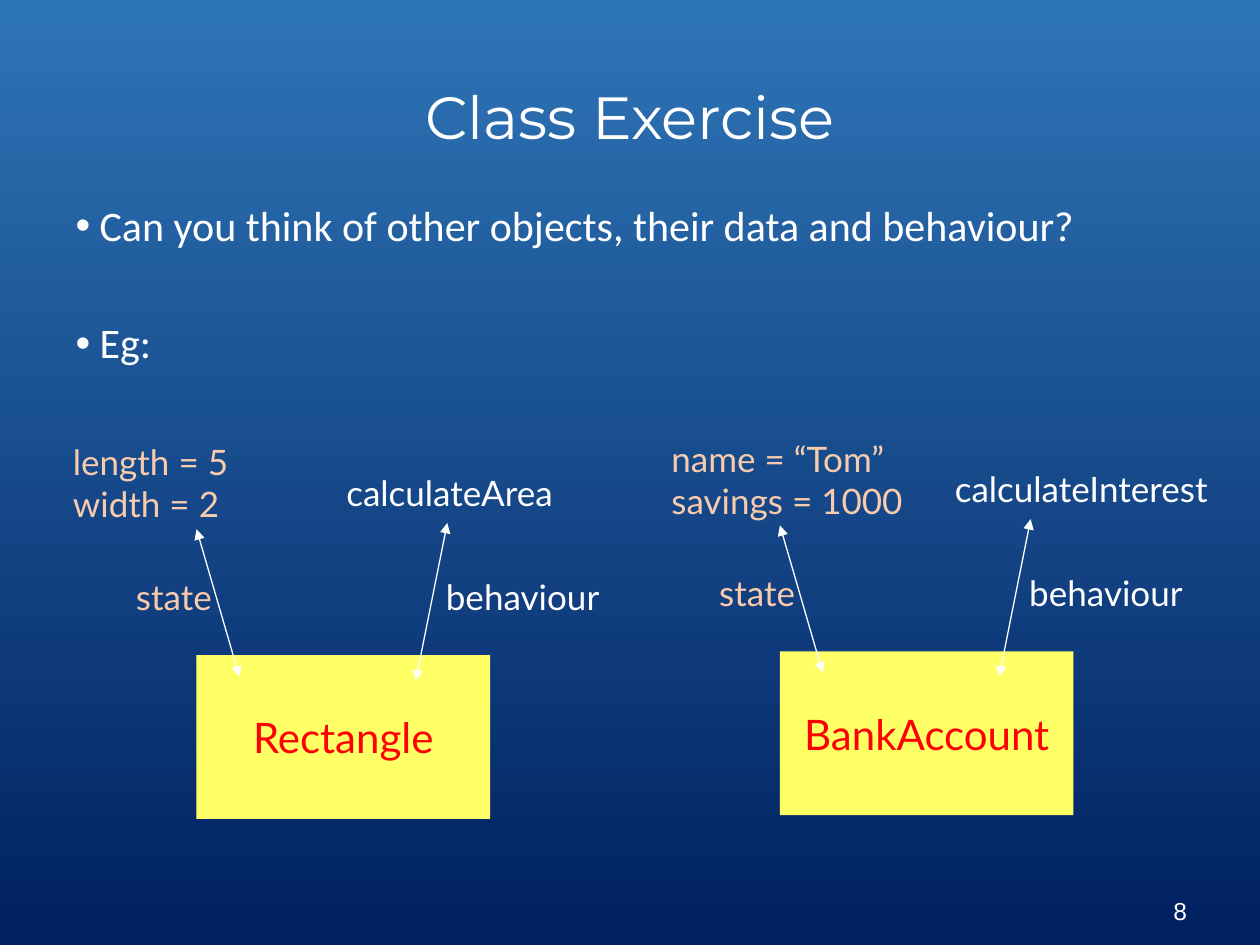
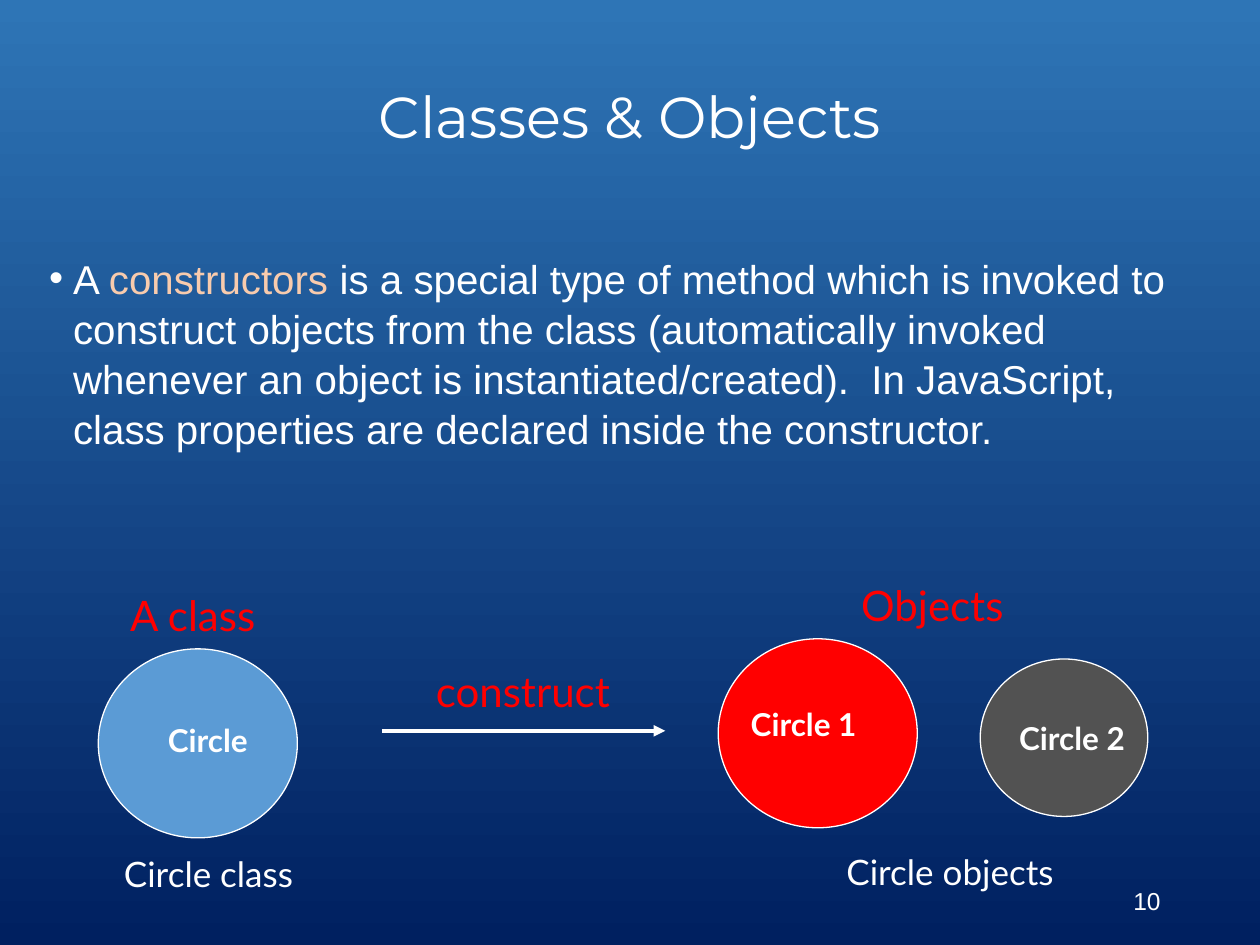
"""Build two slides on classes, objects and constructors."""
from lxml import etree
from pptx import Presentation
from pptx import util as u
from pptx.dml.color import RGBColor
from pptx.enum import shapes, text
from pptx.oxml.ns import qn

PX = 9144
SKY = RGBColor(0x2E, 0x75, 0xB6)
NAVY = RGBColor(0x00, 0x20, 0x60)
WHITE = RGBColor(0xFF, 0xFF, 0xFF)
RED = RGBColor(0xFF, 0x00, 0x00)
PEACH = RGBColor(0xF8, 0xCB, 0xAD)
YELLOW = RGBColor(0xFF, 0xFF, 0x66)
BLUE = RGBColor(0x5B, 0x9B, 0xD5)
GREY = RGBColor(0x52, 0x52, 0x52)
LEFT, CENTER, RIGHT = text.PP_ALIGN.LEFT, text.PP_ALIGN.CENTER, text.PP_ALIGN.RIGHT
TOP, MIDDLE = text.MSO_ANCHOR.TOP, text.MSO_ANCHOR.MIDDLE


def write(sp, content, at=None, font="Lato", size=20, colour=WHITE, bold=False,
          align=LEFT, anchor=TOP, before=0, spacing=1.0, indent=0, new=False):
    """Place a shape and append formatted text to it."""
    if at:
        sp.left, sp.top, sp.width, sp.height = [n * PX for n in at]
    tf = sp.text_frame
    tf.word_wrap = True
    tf.auto_size = text.MSO_AUTO_SIZE.NONE
    tf.vertical_anchor = anchor
    p = tf.add_paragraph() if new else tf.paragraphs[-1]
    p.alignment = align
    p.space_before = u.Pt(before)
    p.line_spacing = spacing
    if indent:
        pPr = p._p.get_or_add_pPr()
        pPr.set("marL", str(indent * PX))
        pPr.set("indent", str(-indent * PX))
    for i, part in enumerate(content.split("\n")):
        if i:
            p.add_line_break()
        r = p.add_run()
        r.text = part
        r.font.name = font
        r.font.size = u.Pt(size)
        r.font.bold = bold
        r.font.color.rgb = colour


def arrow(s, x1, y1, x2, y2, width, ends):
    """Draw a white line with triangles at the named ends."""
    line = s.shapes.add_connector(shapes.MSO_CONNECTOR.STRAIGHT,
                                  x1 * PX, y1 * PX, x2 * PX, y2 * PX)
    line.line.color.rgb = WHITE
    line.line.width = u.Pt(width)
    for end in ends:
        etree.SubElement(line.line._get_or_add_ln(), qn(f"a:{end}")).set("type", "triangle")
    etree.SubElement(line._element.spPr, qn("a:effectLst"))


prs = Presentation()
prs.slide_width, prs.slide_height = 1000 * PX, 750 * PX

fill = prs.slide_master.background.fill
fill.gradient()
fill.gradient_angle = 270
for stop, colour in zip(fill.gradient_stops, (SKY, NAVY)):
    stop.color.rgb = colour

slides = []
for title, size, number, number_at in (
    ("Class Exercise", 34, "8", (727, 703, 225, 40)),
    ("Classes & Objects", 33, "10", (706, 695, 225, 40)),
):
    s = prs.slides.add_slide(prs.slide_layouts[1])
    write(s.shapes.title, title, (0, 42, 1000, 100), font="Montserrat", size=size,
          align=CENTER, anchor=MIDDLE)
    write(s.shapes.add_textbox(0, 0, 0, 0), number, number_at, font="Arial", size=14,
          align=RIGHT, anchor=MIDDLE)
    slides.append(s)
exercise, constructors = slides

body = exercise.placeholders[1]
bullet = dict(font="Calibri", size=24, spacing=0.9, indent=19)
write(body, "Can you think of other objects, their data and behaviour?",
      (50, 158, 900, 541), **bullet)
write(body, "Eg:", before=41, new=True, **bullet)

for name, x, y, data, data_x, data_w, method, method_x, method_w in (
    ("Rectangle", 156, 520, "length = 5 width = 2", 48, 175, "calculateArea", 265, 208),
    ("BankAccount", 619, 517, "name = “Tom”\nsavings = 1000", 523, 238,
     "calculateInterest", 748, 233),
):
    box = exercise.shapes.add_shape(shapes.MSO_SHAPE.RECTANGLE, 0, 0, 0, 0)
    box.shadow.inherit = False
    box.fill.solid()
    box.fill.fore_color.rgb = YELLOW
    box.line.fill.background()
    write(box, name, (x, y, 233, 130), size=24, colour=RED, align=CENTER, anchor=MIDDLE)
    for label, at, colour in (
        (data, (data_x, y - 175, data_w, 77), PEACH),
        ("state", (x - 58, y - 68, 92, 43), PEACH),
        (method, (method_x, y - 151, method_w, 43), WHITE),
        ("behaviour", (x + 188, y - 68, 142, 43), WHITE),
    ):
        write(exercise.shapes.add_textbox(0, 0, 0, 0), label, at, colour=colour)
    for x1, x2, y1, y2 in ((0, 34, -100, 17), (199, 174, -105, 20)):
        arrow(exercise, x + x1, y + y1, x + x2, y + y2, 0.75, ("headEnd", "tailEnd"))

body = constructors.placeholders[1]
bullet = dict(font="Arial", size=23, spacing=1.04, indent=19)
write(body, "A ", (29, 195, 942, 165), **bullet)
write(body, "constructors", colour=PEACH, **bullet)
write(body, " is a special type of method which is invoked to construct objects from the "
      "class (automatically invoked whenever an object is instantiated/created).  "
      "In JavaScript, class properties are declared inside the constructor.", **bullet)

for x, y, w, h, colour in ((778, 523, 133, 125, GREY), (570, 507, 158, 150, RED),
                           (78, 515, 158, 150, BLUE)):
    circle = constructors.shapes.add_shape(shapes.MSO_SHAPE.OVAL,
                                           x * PX, y * PX, w * PX, h * PX)
    circle.shadow.inherit = False
    circle.fill.solid()
    circle.fill.fore_color.rgb = colour
    circle.line.color.rgb = WHITE
    circle.line.width = u.Pt(0.75)
arrow(constructors, 303, 580, 528, 580, 2.25, ("tailEnd",))

heading = dict(size=24, colour=RED, align=CENTER)
caption = dict(size=20, align=CENTER)
inside = dict(size=18, bold=True)
for label, at, style in (
    ("A class", (53, 463, 200, 50), heading),
    ("construct", (286, 523, 258, 50), heading),
    ("Objects", (611, 455, 258, 50), heading),
    ("Circle class", (28, 672, 275, 43), caption),
    ("Circle objects", (558, 670, 392, 43), caption),
    ("Circle", (86, 567, 158, 40), dict(inside, align=CENTER)),
    ("Circle 1", (586, 555, 142, 40), inside),
    ("Circle 2", (799, 566, 142, 40), inside),
):
    write(constructors.shapes.add_textbox(0, 0, 0, 0), label, at, **style)

prs.save("out.pptx")
